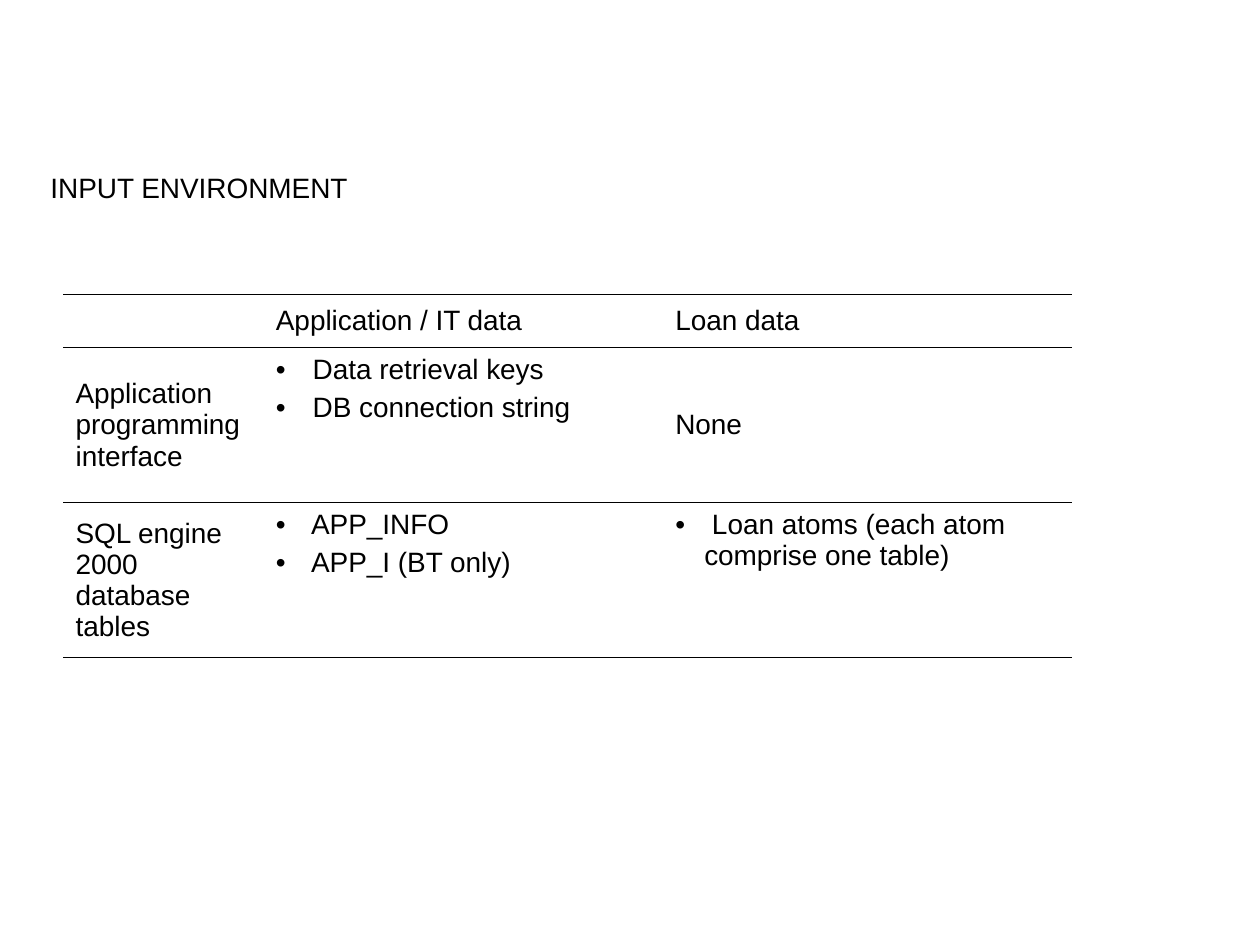
from lxml.etree import SubElement as add_element
from pptx import Presentation
from pptx.dml.color import RGBColor
from pptx.enum.text import MSO_ANCHOR as Anchor, MSO_AUTO_SIZE as AutoSize, PP_ALIGN as Align
from pptx.oxml.ns import qn
from pptx.util import Inches, Pt

BLACK = "000000"
NO_GRID_STYLE = "{2D5ABB26-0587-4C30-8999-92F81FD0307C}"
TEXT_FORMAT = {"name": "Arial", "size": Pt(16), "bold": False}
MARGINS = {
    "margin_left": Inches(0.1), "margin_right": Inches(0.1),
    "margin_top": Inches(0.05), "margin_bottom": Inches(0.05),
}
COLUMN_WIDTHS = [1.59, 3.17, 3.25]
ROW_HEIGHTS = [0.42, 1.23, 1.23]

# A list of strings is a bulleted cell, a plain string is a label
ROWS = [
    ["", "Application / IT data", "Loan data"],
    ["Application programming interface",
     [" Data retrieval keys", " DB connection string"], "None"],
    ["SQL engine 2000 database tables",
     [" APP_INFO", " APP_I (BT only)"],
     [" Loan atoms (each atom comprise one table)"]],
]


def color(value):
    return RGBColor.from_string(value)


def apply_format(target, values):
    for name, value in values.items():
        setattr(target, name, value)


def format_para(para):
    para.alignment = Align.LEFT
    apply_format(para.font, TEXT_FORMAT)
    para.font.color.rgb = color(BLACK)


def add_bullet(para):
    properties = para._p.get_or_add_pPr()
    indent = Inches(0.23)
    properties.set("marL", str(indent))
    properties.set("indent", str(-indent))
    add_element(properties, qn("a:buFont"), typeface="Arial")
    add_element(properties, qn("a:buChar"), char="•")


def add_border(cell, side, width):
    line = add_element(cell._tc.get_or_add_tcPr(), qn(f"a:{side}"), w=str(Pt(width)))
    fill = add_element(line, qn("a:solidFill"))
    add_element(fill, qn("a:srgbClr"), val=BLACK)


def place_title(page, left, top, width, height):
    title = page.shapes.title
    apply_format(title, {"left": left, "top": top, "width": width, "height": height})
    frame = title.text_frame
    apply_format(frame, MARGINS)
    apply_format(frame, {"word_wrap": True, "auto_size": AutoSize.NONE,
                         "vertical_anchor": Anchor.TOP})
    frame.text = "INPUT ENVIRONMENT"
    format_para(frame.paragraphs[0])


def fill_cell(cell, content):
    bulleted = isinstance(content, list)
    apply_format(cell, MARGINS)
    cell.vertical_anchor = Anchor.TOP if bulleted else Anchor.MIDDLE
    cell.text = "\n".join(content) if bulleted else content
    for index, para in enumerate(cell.text_frame.paragraphs):
        if bulleted:
            add_bullet(para)
        if index:
            para.space_before = Pt(4)
        format_para(para)


def place_table(page, left, top, width, height):
    frame = page.shapes.add_table(len(ROWS), len(COLUMN_WIDTHS), left, top, width, height)
    table = frame.table
    apply_format(table, {"first_row": False, "horz_banding": False})
    table._tbl.tblPr.find(qn("a:tableStyleId")).text = NO_GRID_STYLE
    for column, size in zip(table.columns, COLUMN_WIDTHS):
        column.width = Inches(size)
    for row, size in zip(table.rows, ROW_HEIGHTS):
        row.height = Inches(size)

    # Rules above and below the header, and under the last row
    borders = {
        0: [("lnT", 0.75), ("lnB", 0.45)],
        1: [("lnT", 0.45)],
        2: [("lnB", 0.75)],
    }
    for row_index, contents in enumerate(ROWS):
        for column_index, content in enumerate(contents):
            cell = table.cell(row_index, column_index)
            fill_cell(cell, content)
            for side, line_width in borders[row_index]:
                add_border(cell, side, line_width)
            cell.fill.background()


def main():
    deck = Presentation()
    deck.slide_width, deck.slide_height = Inches(10), Inches(7.5)
    page = deck.slides.add_slide(deck.slide_layouts[5])
    place_title(page, Inches(0.3), Inches(1.3), Inches(9.29), Inches(0.37))
    place_table(page, Inches(0.5), Inches(2.34),
                Inches(sum(COLUMN_WIDTHS)), Inches(sum(ROW_HEIGHTS)))
    deck.save("out.pptx")


if __name__ == "__main__":
    main()
